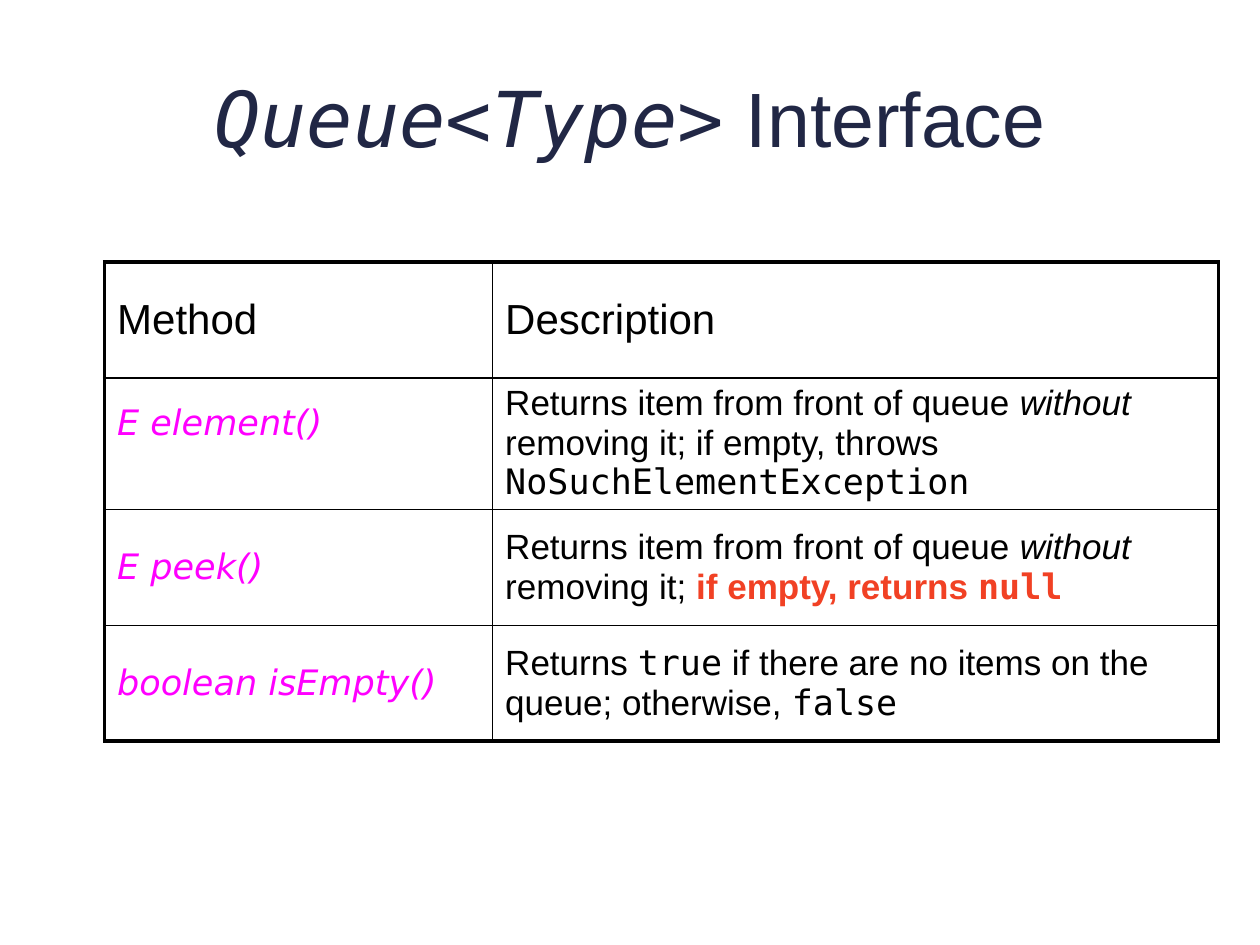
from lxml.etree import SubElement
from pptx import Presentation
from pptx.dml.color import RGBColor
from pptx.enum.text import MSO_ANCHOR as Anchor, PP_ALIGN as Align
from pptx.oxml.ns import qn
from pptx.util import Inches, Pt

NAVY = RGBColor(0x21, 0x27, 0x45)
BLACK = RGBColor(0, 0, 0)
MAGENTA = RGBColor(0xFF, 0, 0xFF)
RED = RGBColor(0xF1, 0x41, 0x24)

SANS, MONO, METHOD_FONT = "Arial", "DejaVu Sans Mono", "DejaVu Sans"
THICK, THIN = Pt(2.25), Pt(1)

# Format values for each kind of run
TITLE = {"name": SANS, "size": Pt(44), "color": NAVY}
TITLE_CODE = {**TITLE, "name": MONO, "italic": True}
HEAD = {"name": SANS, "size": Pt(24), "color": BLACK}
BODY = {**HEAD, "size": Pt(20)}
EMPHASIS = {**BODY, "italic": True}
CODE = {**BODY, "name": MONO}
METHOD = {**EMPHASIS, "name": METHOD_FONT, "color": MAGENTA}
ALERT = {**BODY, "color": RED, "bold": True}
ALERT_CODE = {**ALERT, "name": MONO}

FRONT_ITEM = [("Returns item from front of queue ", BODY), ("without", EMPHASIS)]
ROWS = [
    ([("Method", HEAD)], [("Description", HEAD)]),
    ([("E element()", METHOD)],
     FRONT_ITEM + [(" removing it; if empty, throws ", BODY),
                   ("NoSuchElementException", CODE)]),
    ([("E peek()", METHOD)],
     FRONT_ITEM + [(" removing it; ", BODY), ("if empty, returns ", ALERT),
                   ("null", ALERT_CODE)]),
    ([("boolean isEmpty()", METHOD)],
     [("Returns ", BODY), ("true", CODE),
      (" if there are no items on the queue; otherwise, ", BODY),
      ("false", CODE)]),
]
COL_WIDTHS = (3.08, 5.76)
ROW_HEIGHT = 0.92


def add_runs(p, runs):
    for text, style in runs:
        r = p.add_run()
        r.text = text
        for key, value in style.items():
            if key == "color":
                r.font.color.rgb = value
            else:
                setattr(r.font, key, value)


def set_borders(cell, widths):
    tc_pr = cell._tc.get_or_add_tcPr()
    for side, width in zip("LRTB", widths):
        ln = SubElement(tc_pr, qn(f"a:ln{side}"), w=str(int(width)))
        fill = SubElement(ln, qn("a:solidFill"))
        SubElement(fill, qn("a:srgbClr"), val=str(BLACK))


def add_title(slide, runs):
    title = slide.shapes.title
    title.left, title.top = Inches(0.5), Inches(0.3)
    title.width, title.height = Inches(9), Inches(1.25)
    tf = title.text_frame
    tf.vertical_anchor = Anchor.MIDDLE
    p = tf.paragraphs[0]
    p.alignment = Align.CENTER
    add_runs(p, runs)


def add_method_table(slide):
    n_rows, n_cols = len(ROWS), len(COL_WIDTHS)
    table = slide.shapes.add_table(
        n_rows, n_cols, Inches(0.83), Inches(2.08),
        Inches(sum(COL_WIDTHS)), Inches(ROW_HEIGHT * n_rows)).table
    table.first_row = table.horz_banding = False
    for col, width in zip(table.columns, COL_WIDTHS):
        col.width = Inches(width)
    for i, contents in enumerate(ROWS):
        table.rows[i].height = Inches(ROW_HEIGHT)
        for j, runs in enumerate(contents):
            cell = table.cell(i, j)
            # Thick lines on the outer edges only
            outer = (j == 0, j == n_cols - 1, i == 0, i == n_rows - 1)
            set_borders(cell, [THICK if edge else THIN for edge in outer])
            cell.fill.background()
            cell.vertical_anchor = Anchor.MIDDLE
            add_runs(cell.text_frame.paragraphs[0], runs)
    # The first method sits above the middle of its row
    table.cell(1, 0).margin_bottom = Inches(0.38)


def main():
    prs = Presentation()
    prs.slide_width, prs.slide_height = Inches(10), Inches(7.5)
    slide = prs.slides.add_slide(prs.slide_layouts[5])
    add_title(slide, [("Queue<Type>", TITLE_CODE), (" Interface", TITLE)])
    add_method_table(slide)
    prs.save("out.pptx")


if __name__ == "__main__":
    main()
